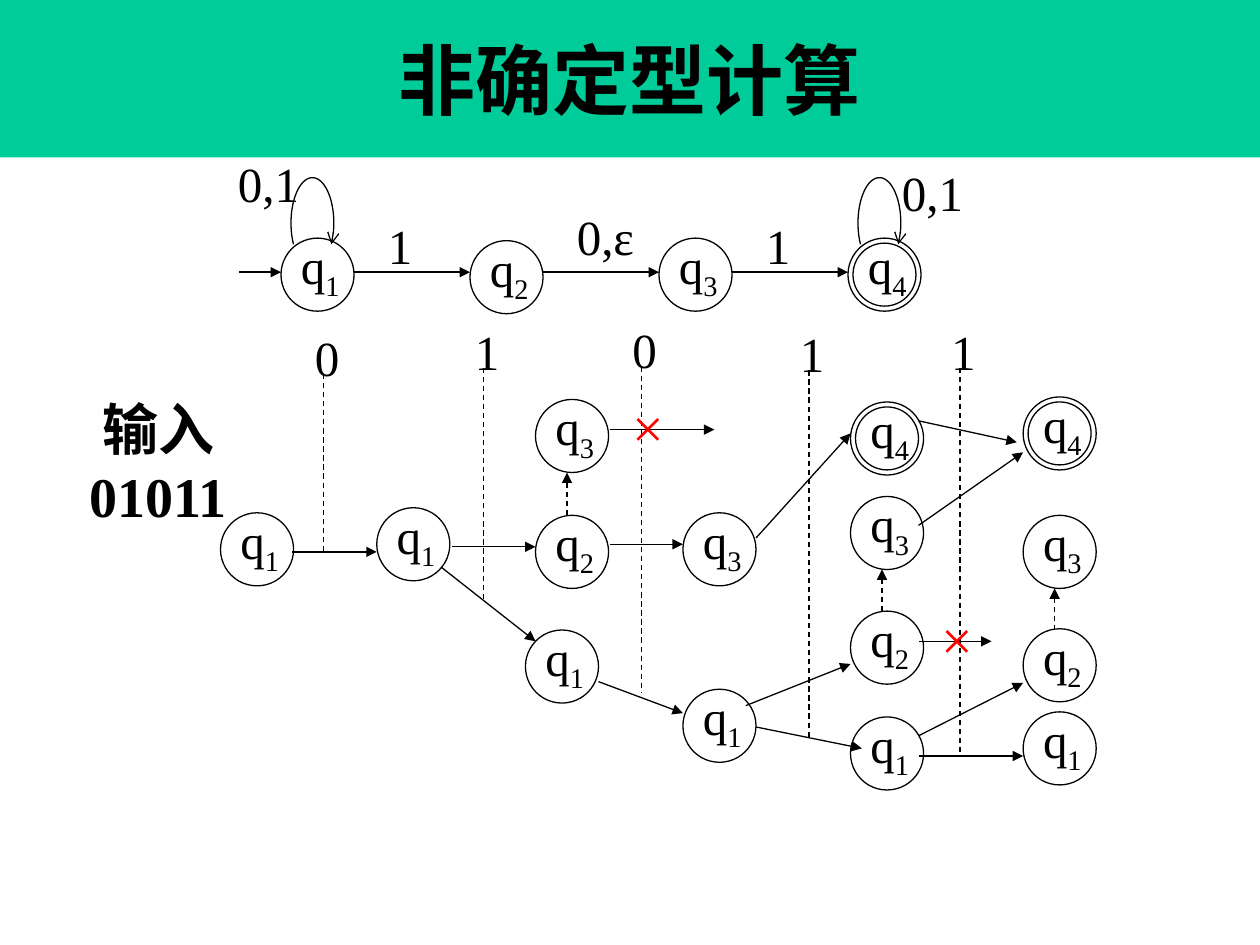
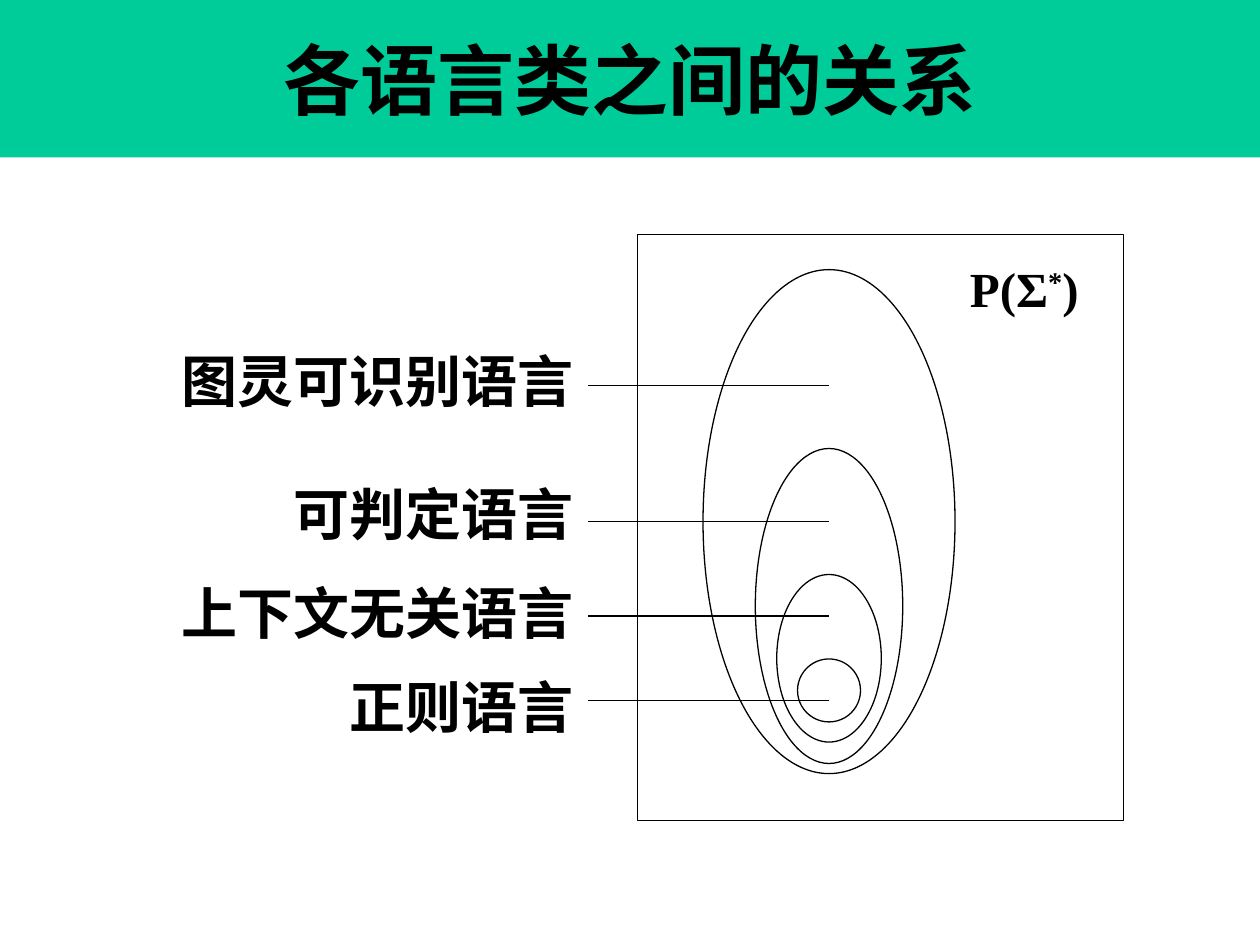
from math import cos, radians, sin

from lxml.etree import SubElement
from pptx import Presentation
from pptx.dml.color import RGBColor
from pptx.enum.dml import MSO_LINE
from pptx.enum.shapes import MSO_CONNECTOR, MSO_SHAPE
from pptx.enum.text import MSO_ANCHOR, MSO_AUTO_SIZE, PP_ALIGN
from pptx.oxml.ns import qn
from pptx.util import Inches, Pt

GREEN = RGBColor(0x00, 0xCC, 0x99)
BLACK = RGBColor(0x00, 0x00, 0x00)
RED = RGBColor(0xFF, 0x00, 0x00)
FONT = "Times New Roman"
THIN = Pt(0.75)
STATE_SIZE = 0.58
RING_SIZE = 0.5


def add_text(page, area, text, size=28, color=BLACK, bold=False,
             align=PP_ALIGN.LEFT, shift=-25, wrap=False):
    """Add a text box; every second piece between bars is raised or lowered."""
    box = page.shapes.add_textbox(*map(Inches, area))
    frame = box.text_frame
    frame.word_wrap = wrap
    frame.auto_size = MSO_AUTO_SIZE.SHAPE_TO_FIT_TEXT
    for number, line in enumerate(text.split("\n")):
        paragraph = frame.add_paragraph() if number else frame.paragraphs[0]
        paragraph.alignment = align
        paragraph.font.name = FONT
        paragraph.font.size = Pt(size)
        paragraph.font.bold = bold
        paragraph.font.color.rgb = color
        for position, piece in enumerate(line.split("|")):
            span = paragraph.add_run()
            span.text = piece
            if position % 2:
                span.font._element.set("baseline", str(shift * 1000))


def add_line(page, x1, y1, x2, y2, arrow=False, dashed=False):
    """Add a thin straight line, with an arrowhead or dashes if asked."""
    line = page.shapes.add_connector(
        MSO_CONNECTOR.STRAIGHT, *map(Inches, (x1, y1, x2, y2)))
    line.line.color.rgb = BLACK
    line.line.width = THIN
    if dashed:
        line.line.dash_style = MSO_LINE.DASH
    if arrow:
        SubElement(line.line._get_or_add_ln(), qn("a:tailEnd"), type="triangle")
    SubElement(line._element.spPr, qn("a:effectLst"))


deck = Presentation()
deck.slide_width, deck.slide_height = Inches(10), Inches(7.5)

# Both pages carry the same green title band
pages = []
for heading in ("非确定型计算", "各语言类之间的关系"):
    page = deck.slides.add_slide(deck.slide_layouts[5])
    title = page.shapes.title
    title.left, title.top = Inches(0), Inches(0)
    title.width, title.height = Inches(10), Inches(1.25)
    title.fill.solid()
    title.fill.fore_color.rgb = GREEN
    title.text_frame.text = heading
    title.text_frame.auto_size = MSO_AUTO_SIZE.NONE
    title.text_frame.vertical_anchor = MSO_ANCHOR.MIDDLE
    paragraph = title.text_frame.paragraphs[0]
    paragraph.alignment = PP_ALIGN.CENTER
    paragraph.font.name = FONT
    paragraph.font.size = Pt(44)
    paragraph.font.bold = True
    paragraph.font.color.rgb = BLACK
    pages.append(page)
automaton, hierarchy = pages

# Page 1: the automaton on top, then the tree of its computations by column
states = [
    (2.23, 1.89, 1), (3.73, 1.91, 2), (5.23, 1.89, 3), (6.73, 1.89, 4),
    (1.75, 4.07, 1),
    (2.99, 4.03, 1),
    (4.25, 3.17, 3), (4.25, 4.09, 2), (4.17, 5.00, 1),
    (5.42, 4.07, 3), (5.42, 5.47, 1),
    (6.75, 3.19, 4), (6.75, 3.94, 3), (6.75, 4.85, 2), (6.75, 5.69, 1),
    (8.12, 3.15, 4), (8.12, 4.09, 3), (8.12, 4.99, 2), (8.12, 5.65, 1),
]
outlines = []
for left, top, index in states:
    outlines.append((automaton, MSO_SHAPE.OVAL, left, top, STATE_SIZE, STATE_SIZE))
    if index == 4:  # the accepting state has a second ring
        inset = (STATE_SIZE - RING_SIZE) / 2
        outlines.append((automaton, MSO_SHAPE.OVAL, left + inset, top + inset,
                         RING_SIZE, RING_SIZE))
    add_text(automaton, (left + 0.06, top - 0.07, 0.53, 0.57), f"q|{index}")

arrows = [
    (1.9, 2.16, 2.23, 2.16), (2.81, 2.16, 3.73, 2.16),
    (4.31, 2.16, 5.23, 2.16), (5.81, 2.16, 6.73, 2.16),
    (2.32, 4.38, 2.99, 4.38),
    (3.59, 4.34, 4.25, 4.34), (3.5, 4.5, 4.25, 5.09),
    (4.84, 3.41, 5.67, 3.41), (4.84, 4.32, 5.42, 4.32), (4.75, 5.41, 5.42, 5.66),
    (6, 4.27, 6.75, 3.44), (5.92, 5.6, 6.75, 5.27), (6, 5.77, 6.84, 5.94),
    (7.29, 3.34, 8.07, 3.51), (7.29, 4.17, 8.12, 3.59), (7.29, 5.09, 7.87, 5.09),
    (7.29, 5.84, 8.12, 5.42), (7.29, 6, 8.12, 6),
]
for ends in arrows:
    add_line(automaton, *ends, arrow=True)

# Empty moves go straight up from q2 to q3
for x, bottom, top in ((4.5, 4.09, 3.75), (7, 4.85, 4.52), (8.37, 5, 4.67)):
    add_line(automaton, x, bottom, x, top, arrow=True, dashed=True)

# Each input symbol heads a dashed line across its step
steps = [("0", 2.57, 2.97, 4.38), ("1", 3.84, 2.92, 4.75), ("0", 5.09, 2.91, 5.49),
         ("1", 6.42, 2.94, 5.85), ("1", 7.62, 2.92, 6)]
for symbol, x, top, bottom in steps:
    add_line(automaton, x, top, x, bottom, dashed=True)
    add_text(automaton, (x - 0.17, top - 0.42, 0.4, 0.57), symbol)

# Loops over the first and the last state; the points are whole EMU
for center in (2.48, 6.98):
    points = [(Inches(center + 0.17 * cos(radians(angle))),
               Inches(1.77 + 0.36 * sin(radians(angle))))
              for angle in range(152, 389, 4)]
    builder = automaton.shapes.build_freeform(*points[0])
    builder.add_line_segments(points[1:], close=False)
    loop = builder.convert_to_shape()
    loop.shadow.inherit = False
    loop.fill.background()
    loop.line.color.rgb = BLACK
    loop.line.width = THIN
    SubElement(loop.line._get_or_add_ln(), qn("a:tailEnd"), type="arrow")

for label, left, top, width in (("0,1", 1.79, 1.17, 0.69), ("1", 2.98, 1.66, 0.4),
                                ("0,ε", 4.48, 1.59, 0.66), ("1", 5.98, 1.66, 0.4),
                                ("0,1", 7.06, 1.24, 0.69)):
    add_text(automaton, (left, top, width, 0.57), label)
for left, top in ((4.92, 3.07), (7.37, 4.75)):
    add_text(automaton, (left, top, 0.65, 0.63), "×", size=32, color=RED)
add_text(automaton, (0.6, 3.08, 1.31, 1.17), "输入\n01011", size=32, bold=True,
         align=PP_ALIGN.CENTER)

# Page 2: nested language classes inside the set of all languages
classes = [("图灵可识别语言", 2.7, 3.06), ("可判定语言", 3.76, 4.14),
           ("上下文无关语言", 4.54, 4.89), ("正则语言", 5.29, 5.56)]
for name, top, level in classes:
    add_text(hierarchy, (1.2, top, 3.45, 0.63), name, size=32, bold=True,
             align=PP_ALIGN.RIGHT, wrap=True)
    add_line(hierarchy, 4.67, level, 6.58, level)
for top, width, height in ((2.14, 2, 4), (3.56, 1.17, 2.5),
                           (4.56, 0.83, 1.33), (5.23, 0.5, 0.5)):
    outlines.append((hierarchy, MSO_SHAPE.OVAL, 6.58 - width / 2, top, width, height))
outlines.append((hierarchy, MSO_SHAPE.RECTANGLE, 5.06, 1.86, 3.86, 4.65))
add_text(hierarchy, (7.6, 2, 1.06, 0.57), "P(Σ|*|)", bold=True, shift=30)

# All circles, ellipses and the frame are thin and unfilled
for page, kind, *area in outlines:
    outline = page.shapes.add_shape(kind, *map(Inches, area))
    outline.shadow.inherit = False
    outline.fill.background()
    outline.line.color.rgb = BLACK
    outline.line.width = THIN

deck.save("out.pptx")
